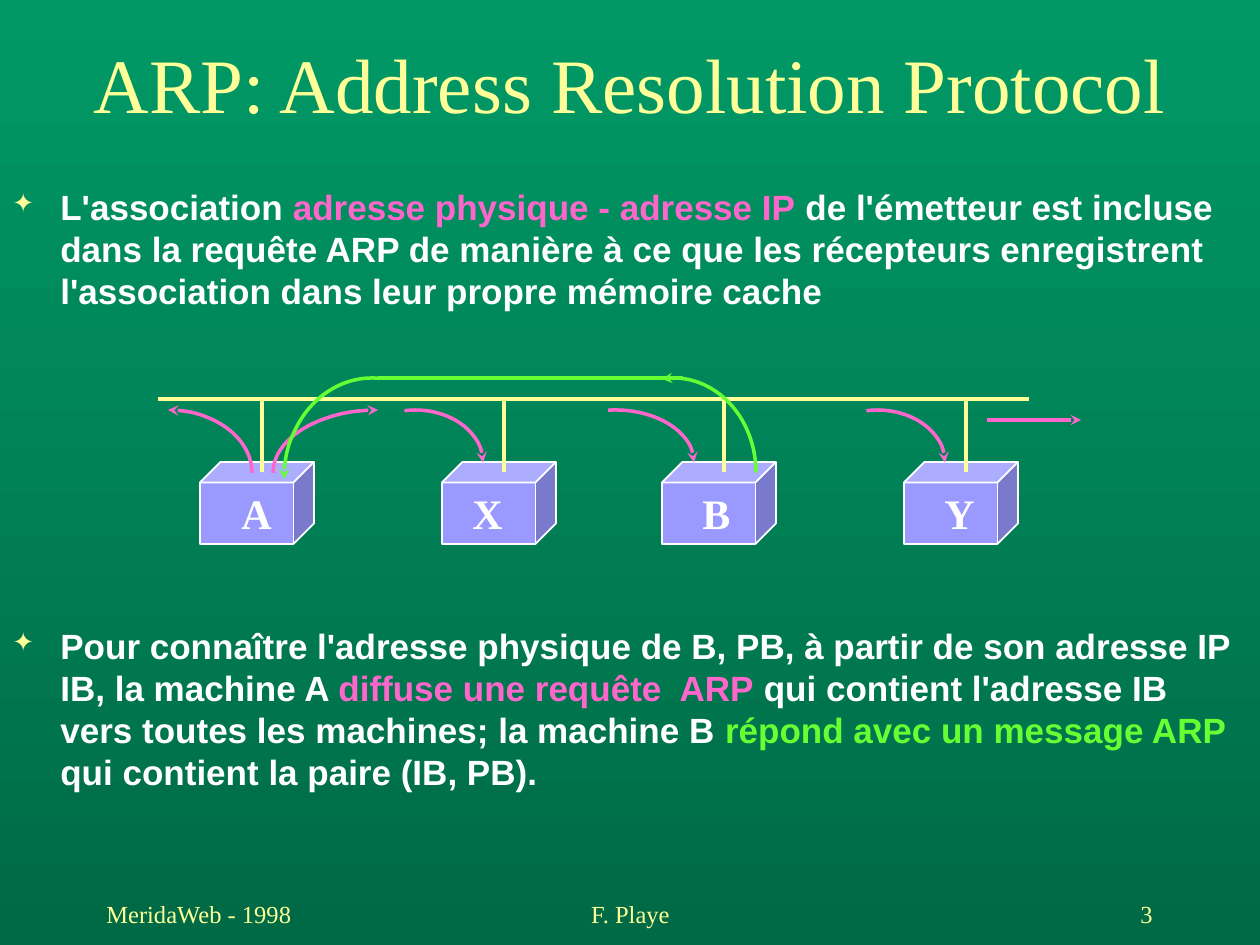
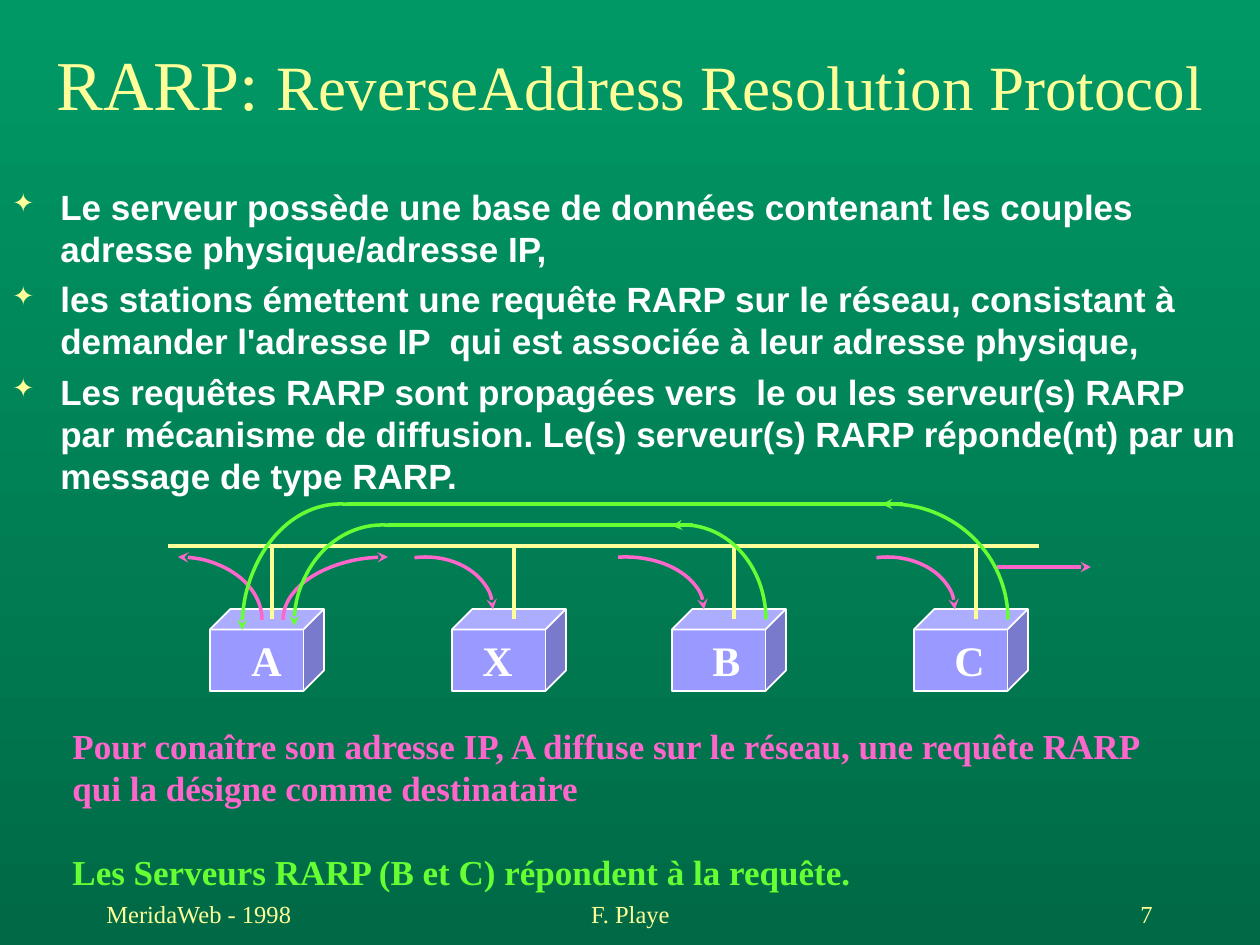
import pptx
import pptx.dml.color
import pptx.enum.shapes
import pptx.enum.text
import pptx.oxml
import pptx.oxml.ns
import pptx.util
from lxml import etree

RGB = pptx.dml.color.RGBColor
SHAPE = pptx.enum.shapes.MSO_SHAPE
ALIGN = pptx.enum.text.PP_ALIGN
ANCHOR = pptx.enum.text.MSO_ANCHOR
qn = pptx.oxml.ns.qn

GREEN_TOP = RGB(0x00, 0x99, 0x66)
GREEN_BOTTOM = RGB(0x00, 0x6A, 0x46)
YELLOW = RGB(0xFF, 0xFF, 0x99)
WHITE = RGB(0xFF, 0xFF, 0xFF)
PINK = RGB(0xFF, 0x66, 0xCC)
LIME = RGB(0x66, 0xFF, 0x33)
VIOLET = RGB(0x99, 0x99, 0xFF)

SERIF = "Times New Roman"
SANS = "Arial"
PX_PER_INCH = 126
SLIDE_W, SLIDE_H = 1260, 945

# Diagram lengths are relative to the left end of the bus.
BUS_LENGTH = 871
STATION_OFFSETS = (42, 284, 504, 746)
LABEL_OFFSETS = (29, 18, 28, 28)
# Each arc: box (left, top, width, height), start and end angle, arrow end
REQUEST_ARCS = (
    ((-74, 11, 168, 126), 270, 0, "headEnd"),
    ((115, 11, 210, 126), 180, 270, "tailEnd"),
    ((190, 11, 135, 105), 258, 0, "tailEnd"),
    ((379, 11, 157, 105), 262, 0, "tailEnd"),
    ((652, 11, 135, 105), 258, 0, "tailEnd"),
)
# Each reply: sender's arc, then the line's height and ends, then receiver's arc
REPLY_FROM_B = (((433, -21, 165, 189), 263, 0, "headEnd"),
                (-21, 525, 220),
                ((126, -21, 176, 202), 180, 274, "headEnd"))
REPLY_FROM_C = (((604, -42, 236, 231), 266, 0, "headEnd"),
                (-42, 735, 179),
                ((74, -42, 197, 252), 180, 273, "headEnd"))


def px(length):
    return pptx.util.Emu(round(length * 914400 / PX_PER_INCH))


def add_arrowhead(line_shape, end):
    """Put a stealth arrowhead on 'headEnd' (start) or 'tailEnd' (finish)."""
    outline = line_shape._element.spPr.find(qn("a:ln"))
    etree.SubElement(outline, qn("a:" + end)).set("type", "stealth")


def add_bullet(paragraph):
    props = paragraph._p.get_or_add_pPr()
    props.set("marL", str(px(48)))
    props.set("indent", str(px(-48)))
    colour = etree.SubElement(props, qn("a:buClr"))
    etree.SubElement(colour, qn("a:srgbClr")).set("val", str(YELLOW))
    etree.SubElement(props, qn("a:buSzPct")).set("val", "75000")
    etree.SubElement(props, qn("a:buChar")).set("char", "✦")


def add_text(slide, box, paragraphs, size=20, font=SERIF, color=WHITE, bold=False,
             align=ALIGN.LEFT, anchor=ANCHOR.TOP, wrap=True, bullets=False,
             line_height=None, gaps=()):
    """Each paragraph is a list of runs: (text,) or (text, color) or (text, color, size).

    gaps holds the space before each paragraph, in points.
    """
    frame = slide.shapes.add_textbox(*map(px, box)).text_frame
    frame.word_wrap = wrap
    frame.vertical_anchor = anchor
    for index, runs in enumerate(paragraphs):
        paragraph = frame.add_paragraph() if index else frame.paragraphs[0]
        paragraph.alignment = align
        if line_height:
            paragraph.line_spacing = pptx.util.Pt(line_height)
        if gaps:
            paragraph.space_before = pptx.util.Pt(gaps[index])
        if bullets:
            add_bullet(paragraph)
        for text, *special in runs:
            run = paragraph.add_run()
            run.text = text
            run.font.name = font
            run.font.bold = bold
            run.font.color.rgb = special[0] if special else color
            run.font.size = pptx.util.Pt(special[1] if len(special) > 1 else size)


def add_line(slide, start, finish, color, arrow=None):
    line = slide.shapes.add_connector(pptx.enum.shapes.MSO_CONNECTOR.STRAIGHT,
                                      *map(px, start + finish))
    line.line.color.rgb = color
    line.line.width = pptx.util.Pt(2)
    if arrow:
        add_arrowhead(line, arrow)
    etree.SubElement(line._element.spPr, qn("a:effectLst"))


def add_arc(slide, box, start_angle, end_angle, color, arrow):
    arc = slide.shapes.add_shape(SHAPE.ARC, *map(px, box))
    arc.shadow.inherit = False
    # Angles are stored in 1/60000 degree, adjustments in 1/100000.
    arc.adjustments[0] = start_angle * 0.6
    arc.adjustments[1] = end_angle * 0.6
    arc.fill.background()
    arc.line.color.rgb = color
    arc.line.width = pptx.util.Pt(2)
    add_arrowhead(arc, arrow)


def add_station(slide, left, top):
    cube = slide.shapes.add_shape(SHAPE.CUBE, px(left), px(top), px(114), px(82))
    cube.shadow.inherit = False
    cube.fill.solid()
    cube.fill.fore_color.rgb = VIOLET
    cube.line.color.rgb = WHITE
    cube.line.width = pptx.util.Pt(1)


def add_network(slide, left, top, station_names, replies):
    """Draw the bus with its stations, the broadcast request and the replies."""
    def draw_arc(arc, color):
        (x, y, width, height), start_angle, end_angle, arrow = arc
        add_arc(slide, (left + x, top + y, width, height),
                start_angle, end_angle, color, arrow)

    add_line(slide, (left, top), (left + BUS_LENGTH, top), YELLOW)
    for name, offset, label_offset in zip(station_names, STATION_OFFSETS, LABEL_OFFSETS):
        station_left = left + offset
        add_station(slide, station_left, top + 63)
        add_line(slide, (station_left + 62, top), (station_left + 62, top + 73), YELLOW)
        add_text(slide, (station_left + label_offset, top + 82, 55, 63), [[(name,)]],
                 size=24, bold=True, wrap=False)

    for arc in REQUEST_ARCS:
        draw_arc(arc, PINK)
    add_line(slide, (left + 829, top + 21), (left + 923, top + 21), PINK, "tailEnd")

    for sender_arc, (height, start, finish), receiver_arc in replies:
        draw_arc(sender_arc, LIME)
        add_line(slide, (left + start, top + height), (left + finish, top + height), LIME)
        draw_arc(receiver_arc, LIME)


def add_slide(prs, title_runs, number):
    """Add a slide with the shared background, title and footer."""
    slide = prs.slides.add_slide(prs.slide_layouts[6])
    fill = slide.background.fill
    fill.gradient()
    fill.gradient_angle = 270
    for stop, color, position in zip(fill.gradient_stops, (GREEN_TOP, GREEN_BOTTOM), (0, 1)):
        stop.color.rgb = color
        stop.position = position

    add_text(slide, (0, 39, SLIDE_W, 87), [title_runs], size=44, color=YELLOW,
             align=ALIGN.CENTER, anchor=ANCHOR.MIDDLE)
    for left, width, text, align in ((94, 262, "MeridaWeb - 1998", ALIGN.LEFT),
                                     (431, 399, "F. Playe", ALIGN.CENTER),
                                     (903, 262, str(number), ALIGN.RIGHT)):
        add_text(slide, (left, 882, width, 63), [[(text,)]], size=14, color=YELLOW,
                 align=align, anchor=ANCHOR.MIDDLE)
    return slide


def add_body(slide, height, paragraphs, gaps):
    add_text(slide, (0, 179, 1250, height), paragraphs, font=SANS, bold=True,
             bullets=True, line_height=24, gaps=gaps)


def build_arp(prs):
    slide = add_slide(prs, [("ARP: Address Resolution Protocol",)], 3)
    add_body(slide, 651, [
        [("L'association ",), ("adresse physique - adresse IP", PINK),
         (" de l'émetteur est incluse dans la requête ARP de manière à ce que les "
          "récepteurs enregistrent l'association dans leur propre mémoire cache",)],
        [("Pour connaître l'adresse physique de B, PB, à partir de son adresse IP IB, "
          "la machine A ",),
         ("diffuse une requête  ARP", PINK),
         (" qui contient l'adresse IB vers toutes les machines; la machine B ",),
         ("répond avec un message ARP", LIME),
         (" qui contient la paire (IB, PB).",)],
    ], gaps=(5, 179))
    add_network(slide, 158, 399, "AXBY", [REPLY_FROM_B])


def build_rarp(prs):
    slide = add_slide(prs, [("RARP: ", YELLOW, 40),
                            ("ReverseAddress Resolution Protocol", YELLOW, 36)], 7)
    add_body(slide, 703, [
        [("Le serveur possède une base de données contenant les couples adresse "
          "physique/adresse IP,",)],
        [("les stations émettent une requête RARP sur le réseau, consistant à demander "
          "l'adresse IP  qui est associée à leur adresse physique,",)],
        [("Les requêtes RARP sont propagées vers  le ou les serveur(s) RARP par "
          "mécanisme de diffusion. Le(s) serveur(s) RARP réponde(nt) par un message "
          "de type RARP.",)],
    ], gaps=(5, 5, 5))
    add_network(slide, 168, 546, "AXBC", [REPLY_FROM_B, REPLY_FROM_C])
    add_text(slide, (60, 718, 1102, 223), [
        [("Pour conaître son adresse IP, A diffuse sur le réseau, une requête RARP",)],
        [("qui la désigne comme destinataire",)],
        [("Les Serveurs RARP (B et C) répondent à la requête.", LIME)],
    ], color=PINK, bold=True, line_height=24, gaps=(0, 0, 24))


def main():
    prs = pptx.Presentation()
    prs.slide_width, prs.slide_height = px(SLIDE_W), px(SLIDE_H)
    build_arp(prs)
    build_rarp(prs)
    prs.save("out.pptx")


if __name__ == "__main__":
    main()
